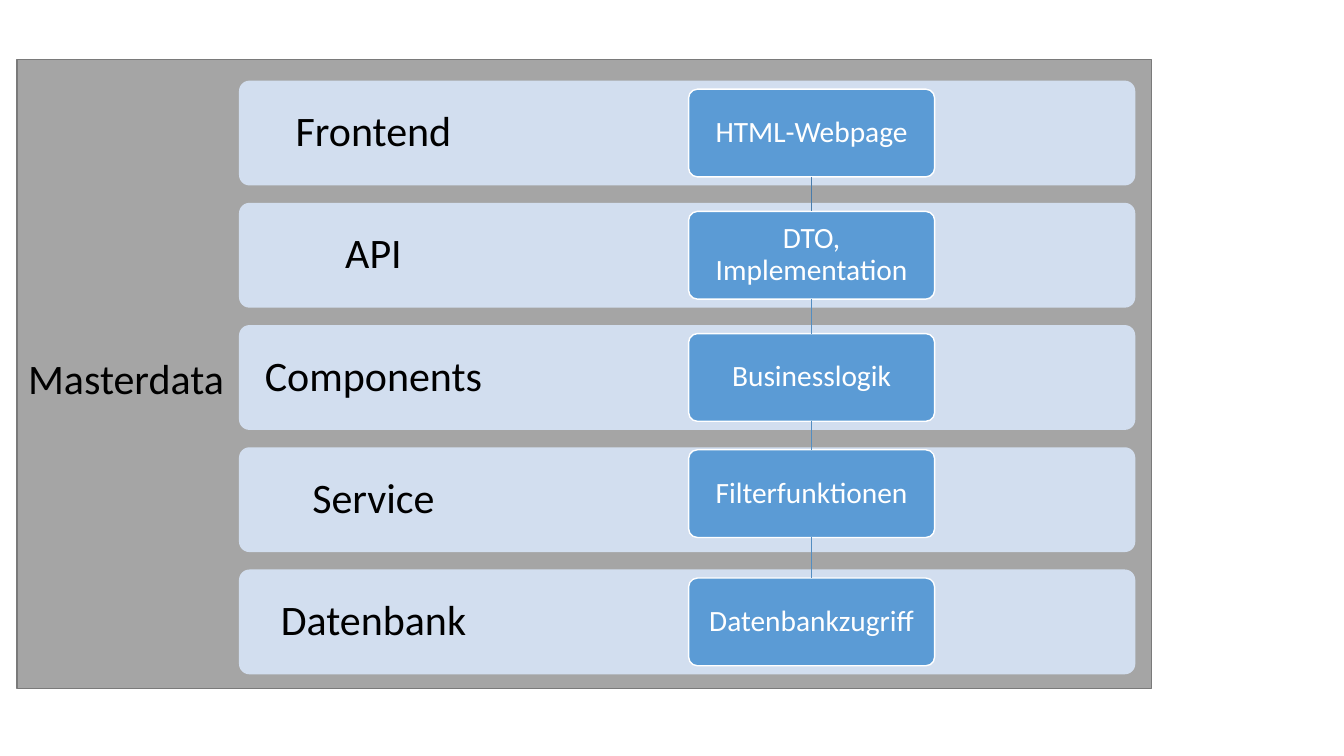
"""Build the Masterdata layer diagram as one slide."""
import pptx
import pptx.util
import pptx.dml.color
import pptx.enum.shapes
import pptx.enum.text
from lxml import etree

Inches = pptx.util.Inches
Pt = pptx.util.Pt
KIND = pptx.enum.shapes.MSO_SHAPE
ALIGN = pptx.enum.text.PP_ALIGN

LAYERS = [
    ("Frontend", "HTML-Webpage", 0),
    ("API", "DTO, Implementation", 0),
    ("Components", "Businesslogik", 0),
    ("Service", "Filterfunktionen", -0.06),
    ("Datenbank", "Datenbankzugriff", 0),
]
LINKS = ["497CAB", "538DC1", "538DC1", "538DC1"]
TOP, LAST = 0.8, 5.65
BAND_H, BOX_H = 1.04, 0.87
STEP = (LAST - TOP) / (len(LAYERS) - 1)


def color(code):
    return pptx.dml.color.RGBColor.from_string(code)


def panel(slide, kind, area, fill, edge=None):
    shape = slide.shapes.add_shape(kind, *map(Inches, area))
    shape.shadow.inherit = False
    shape.fill.solid()
    shape.fill.fore_color.rgb = color(fill)
    if kind == KIND.ROUNDED_RECTANGLE:
        shape.adjustments[0] = 0.1
    if edge:
        shape.line.color.rgb = color(edge)
        shape.line.width = Pt(1)
    else:
        shape.line.fill.background()
    return shape


def write(shape, text, size, ink, inset, align=ALIGN.CENTER, lead=0.9):
    frame = shape.text_frame
    frame.text = text
    frame.word_wrap = True
    frame.vertical_anchor = pptx.enum.text.MSO_ANCHOR.MIDDLE
    frame.margin_left = frame.margin_right = Inches(inset)
    frame.margin_top = frame.margin_bottom = Inches(min(inset, 0.1))
    para = frame.paragraphs[0]
    para.alignment = align
    para.line_spacing = lead
    font = para.runs[0].font
    font.name = "Calibri"
    font.size = Pt(size)
    font.color.rgb = color(ink)


def label(slide, area, text, inset, **style):
    box = slide.shapes.add_textbox(*map(Inches, area))
    write(box, text, 30, "000000", inset, **style)


def link(slide, upper, lower, ink):
    line = slide.shapes.add_connector(
        pptx.enum.shapes.MSO_CONNECTOR.STRAIGHT, 0, 0, 0, 0)
    line.begin_connect(upper, 2)
    line.end_connect(lower, 0)
    line.line.color.rgb = color(ink)
    line.line.width = Pt(1)
    props = line._element.spPr
    etree.SubElement(props, pptx.oxml.ns.qn("a:effectLst"))


def main():
    deck = pptx.Presentation()
    deck.slide_width = Inches(13.33)
    deck.slide_height = Inches(7.5)
    slide = deck.slides.add_slide(deck.slide_layouts[6])
    panel(slide, KIND.RECTANGLE, (0.17, 0.59, 11.25, 6.24), "A5A5A5", "7A7A7A")

    for row, (name, task, shift) in enumerate(LAYERS):
        top = TOP + row * STEP
        panel(slide, KIND.ROUNDED_RECTANGLE, (2.37, top, 8.89, BAND_H), "D2DEEF")
        label(slide, (2.37, top, 2.67, BAND_H), name, 0.23)

    boxes = []
    for row, (name, task, shift) in enumerate(LAYERS):
        top = TOP + row * STEP + (BAND_H - BOX_H) / 2 + shift
        box = panel(slide, KIND.ROUNDED_RECTANGLE, (6.83, top, 2.44, BOX_H),
                    "5B9BD5", "FFFFFF")
        write(box, task, 21, "FFFFFF", 0.09)
        boxes.append(box)
    for upper, lower, ink in zip(boxes, boxes[1:], LINKS):
        link(slide, upper, lower, ink)

    label(slide, (0.18, 3.44, 2.18, 0.61), "Masterdata", 0.1,
          align=ALIGN.LEFT, lead=1.0)
    deck.save("out.pptx")


if __name__ == "__main__":
    main()
